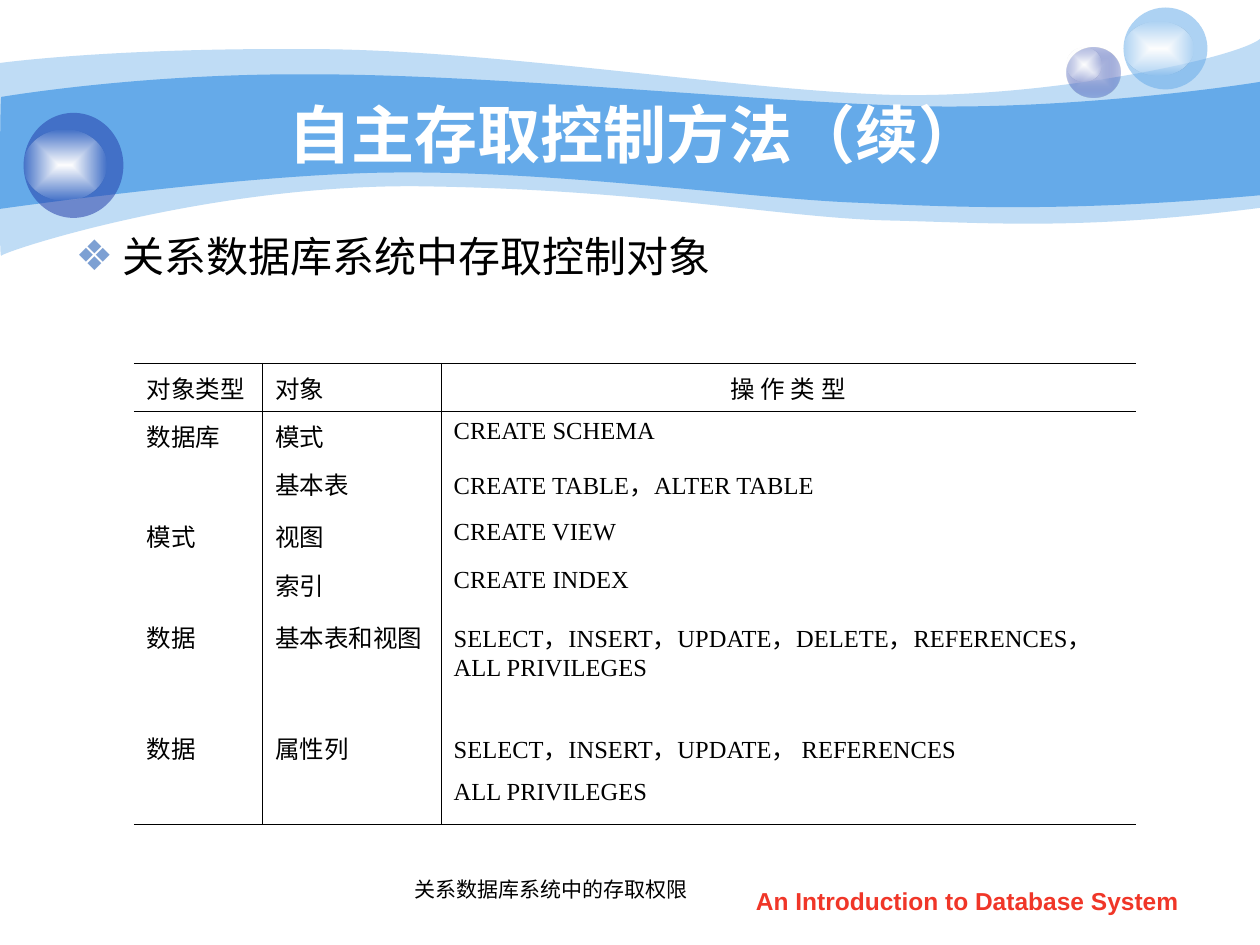
from lxml import etree
from pptx import Presentation
from pptx.dml.color import RGBColor
from pptx.enum import shapes, text
from pptx.oxml import ns
from pptx.util import Pt

BLACK = RGBColor(0x00, 0x00, 0x00)
WHITE = RGBColor(0xFF, 0xFF, 0xFF)
SKY = RGBColor(0x65, 0xAA, 0xE9)
NAVY = RGBColor(0x23, 0x3D, 0xA9)
LAVENDER = RGBColor(0xC7, 0xCE, 0xE9)
BULLET_BLUE = RGBColor(0x7D, 0xA0, 0xD3)
RED = RGBColor(0xF0, 0x36, 0x28)


def add_run(paragraph, words, size, font, color, bold=False):
    run = paragraph.add_run()
    run.text = words
    run.font.size = Pt(size)
    run.font.name = font
    run.font.bold = bold
    run.font.color.rgb = color


def paint(shape, stops):
    """Fill with one (color, opacity) stop, or a centred gradient of several."""
    shape.shadow.inherit = False
    shape.line.fill.background()
    shape.fill.solid()
    shape.fill.fore_color.rgb = stops[0][0]
    solid = shape._element.spPr.find(ns.qn("a:solidFill"))
    parents = [solid]
    if len(stops) > 1:
        gradient = etree.Element(ns.qn("a:gradFill"), rotWithShape="1")
        solid.getparent().replace(solid, gradient)
        stop_list = etree.SubElement(gradient, ns.qn("a:gsLst"))
        parents = [etree.SubElement(stop_list, ns.qn("a:gs"), pos=position)
                   for position in ("0", "100000")]
        route = etree.SubElement(gradient, ns.qn("a:path"))
        route.set("path", "rect")
        etree.SubElement(route, ns.qn("a:fillToRect"),
                         l="50000", t="50000", r="50000", b="50000")
    for parent, (color, opacity) in zip(parents, stops):
        for child in list(parent):
            parent.remove(child)
        tint = etree.SubElement(parent, ns.qn("a:srgbClr"), val=str(color))
        if opacity < 100:
            etree.SubElement(tint, ns.qn("a:alpha"), val=str(opacity * 1000))


presentation = Presentation()
presentation.slide_width, presentation.slide_height = Pt(720), Pt(540)
slide = presentation.slides.add_slide(presentation.slide_layouts[1])
title, body = slide.shapes.title, slide.placeholders[1]

# Header waves: each segment is a straight end point or three Bézier points
waves = [
    (41, (0, 36), [
        [(17.3, 33.8), (77.8, 27.4), (177.8, 28.1)],
        [(277.9, 28.1), (414, 50.4), (503.3, 54)],
        [(591.8, 57.6), (705.6, 33.8), (720, 22.3)],
        [(720, 118.8)],
        [(617.8, 131.8), (567.4, 127.4), (507.6, 126)],
        [(447.8, 124.6), (370.8, 108.7), (247, 106.6)],
        [(123.8, 103.7), (2.9, 143.3), (0.7, 146.2)],
        [(-0.7, 149.8), (0, 54), (0, 36)]]),
    (100, (0.7, 55.4), [
        [(1.4, 55.4), (79.2, 41.8), (178.6, 42.5)],
        [(278.6, 42.5), (429.1, 57.6), (517, 60.5)],
        [(605.5, 63.4), (702.7, 49.7), (720, 46.8)],
        [(720, 111.6)],
        [(614.2, 121), (550.8, 118.8), (491, 115.9)],
        [(431.3, 113.8), (321.8, 97.9), (228.2, 98.6)],
        [(146.2, 98.6), (-1.4, 119.5), (-0.7, 119.5)],
        [(0, 119.5), (0, 55.4), (0.7, 55.4)]]),
]
for opacity, start, segments in waves:
    builder = slide.shapes.build_freeform(Pt(start[0]), Pt(start[1]))
    builder.add_line_segments([(Pt(x), Pt(y)) for segment in segments for x, y in segment])
    wave = builder.convert_to_shape()
    # Gather each run of three points into one curve
    lines = iter(wave._element.findall(".//" + ns.qn("a:lnTo")))
    for segment in segments:
        first, *others = [next(lines) for _ in segment]
        if others:
            curve = etree.Element(ns.qn("a:cubicBezTo"))
            first.addprevious(curve)
            for line in (first, *others):
                curve.append(line[0])
                line.getparent().remove(line)
    paint(wave, [(SKY, opacity)])

# Glass balls, each with a highlight
HIGHLIGHT = [(WHITE, 100), (WHITE, 0)]
balls = [
    ((609.6, 27, 30.5, 29), [(LAVENDER, 100), (NAVY, 31)], (609.6, 27, 20, 19.5)),
    ((642, 4.3, 48, 46.8), [(SKY, 53)], (642, 12.2, 40, 31)),
    ((13.5, 64.5, 57, 60), [(NAVY, 53)], (13.5, 74.2, 47.5, 40.3)),
]
for ball_box, ball_stops, highlight_box in balls:
    group = slide.shapes.add_group_shape()
    for box, stops in ((ball_box, ball_stops), (highlight_box, HIGHLIGHT)):
        paint(group.shapes.add_shape(shapes.MSO_SHAPE.OVAL, *map(Pt, box)), stops)

# Footer
footer = slide.shapes.add_textbox(Pt(411), Pt(502.5), Pt(283.7), Pt(25))
footer.text_frame.word_wrap = True
paragraph = footer.text_frame.paragraphs[0]
paragraph.alignment = text.PP_ALIGN.CENTER
add_run(paragraph, "An Introduction to Database System", 14, "Arial", RED, True)

# Title and bullet, in front of the header
for placeholder, box in ((title, (72, 54, 582, 44.6)), (body, (36, 128, 647, 154))):
    slide.shapes._spTree.append(placeholder._element)
    placeholder.left, placeholder.top, placeholder.width, placeholder.height = map(Pt, box)
    placeholder.text_frame.auto_size = text.MSO_AUTO_SIZE.NONE
title.text_frame.vertical_anchor = text.MSO_ANCHOR.MIDDLE
paragraph = title.text_frame.paragraphs[0]
paragraph.alignment = text.PP_ALIGN.CENTER
add_run(paragraph, "自主存取控制方法（续）", 36, "Arial", WHITE, True)

paragraph = body.text_frame.paragraphs[0]
paragraph.space_before = Pt(0)
properties = paragraph._p.get_or_add_pPr()
properties.set("marL", str(Pt(27)))
properties.set("indent", str(Pt(-27)))
bullet_color = etree.SubElement(properties, ns.qn("a:buClr"))
etree.SubElement(bullet_color, ns.qn("a:srgbClr"), val=str(BULLET_BLUE))
etree.SubElement(properties, ns.qn("a:buChar"), char="❖")
add_run(paragraph, "关系数据库系统中存取控制对象", 24, "Arial", BLACK)

# Privilege table: rules around the header, at the bottom and between columns
rows = [
    ("对象类型", "对象", "操 作 类 型"),
    ("数据库", "模式", "CREATE SCHEMA"),
    ("", "基本表", "CREATE TABLE，ALTER TABLE"),
    ("模式", "视图", "CREATE VIEW"),
    ("", "索引", "CREATE INDEX"),
    ("数据", "基本表和视图", "SELECT，INSERT，UPDATE，DELETE，REFERENCES，\nALL PRIVILEGES"),
    ("数据", "属性列", "SELECT，INSERT，UPDATE， REFERENCES"),
    ("", "", "ALL PRIVILEGES"),
]
widths = (73.6, 102, 396.8)
heights = (24.5, 24.5, 29.75, 24.5, 29.75, 41, 24.5, 29.75)
table = slide.shapes.add_table(len(rows), len(widths), Pt(76.5), Pt(207.6),
                               Pt(sum(widths)), Pt(sum(heights))).table
table.first_row = table.horz_banding = False
for column, width in zip(table.columns, widths):
    column.width = Pt(width)
for row, height in zip(table.rows, heights):
    row.height = Pt(height)
last_row, last_column = len(rows) - 1, len(widths) - 1
for r, row_words in enumerate(rows):
    for c, words in enumerate(row_words):
        cell = table.cell(r, c)
        ruled = {"L": c > 0, "R": c < last_column, "T": r < 2, "B": r in (0, last_row)}
        for side, visible in ruled.items():
            border = etree.SubElement(cell._tc.get_or_add_tcPr(), ns.qn("a:ln" + side),
                                      w=str(Pt(0.45)))
            if visible:
                line_fill = etree.SubElement(border, ns.qn("a:solidFill"))
                etree.SubElement(line_fill, ns.qn("a:srgbClr"), val=str(BLACK))
            else:
                etree.SubElement(border, ns.qn("a:noFill"))
        cell.fill.background()
        for i, line in enumerate(words.split("\n") if words else []):
            frame = cell.text_frame
            paragraph = frame.add_paragraph() if i else frame.paragraphs[0]
            if r == 0 and c == last_column:
                paragraph.alignment = text.PP_ALIGN.CENTER
            add_run(paragraph, line, 14, "Times New Roman", BLACK)

# Table caption
caption = slide.shapes.add_textbox(Pt(229.8), Pt(491), Pt(174.5), Pt(29))
caption.text_frame.word_wrap = False
caption.text_frame.auto_size = text.MSO_AUTO_SIZE.SHAPE_TO_FIT_TEXT
caption.text_frame.vertical_anchor = text.MSO_ANCHOR.MIDDLE
paragraph = caption.text_frame.paragraphs[0]
add_run(paragraph, "关系数据库系统中的存取权限", 12, "Times New Roman", BLACK)
add_run(paragraph, " ", 18, "Times New Roman", BLACK, True)

presentation.save("out.pptx")
